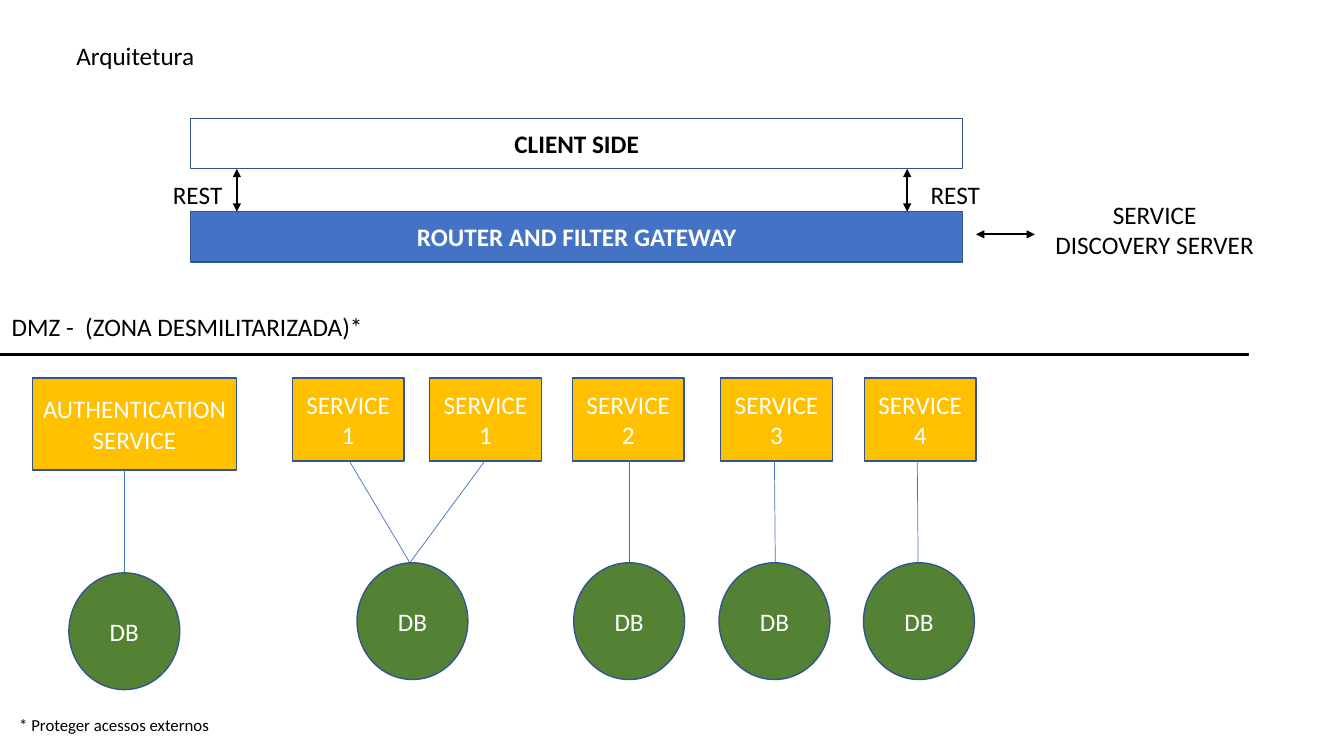
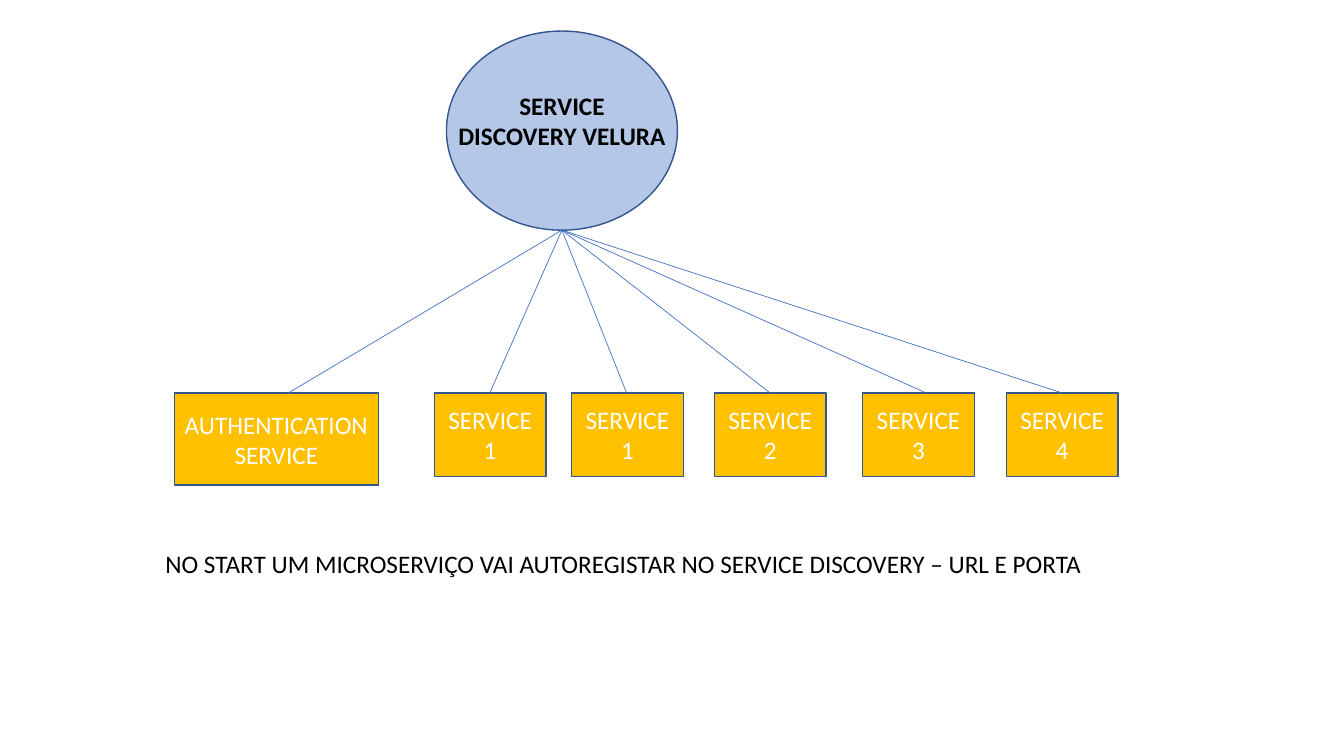
from lxml import etree
from pptx import Presentation
from pptx.dml.color import RGBColor
from pptx.enum.shapes import MSO_CONNECTOR as CONN, MSO_SHAPE as SHAPE
from pptx.enum.text import MSO_ANCHOR as ANCHOR, MSO_AUTO_SIZE as FIT, PP_ALIGN as ALIGN
from pptx.oxml.ns import qn
from pptx.util import Inches, Pt

WIDTH, HEIGHT = Inches(13.33), Inches(7.5)
COLS, ROWS = 160, 90
FONT = "Calibri"
BLACK, WHITE = "000000", "FFFFFF"
BLUE, PALE_BLUE, OUTLINE = "4472C4", "B4C7E7", "325491"
AMBER, GREEN = "FFC000", "548235"

AUTH_W, AUTH_H = 24.3, 10.95
SERVICE_W, SERVICE_H = 13.3, 9.9
DB_W, DB_H = 13.2, 13.9
SERVICES = [(30.95, 1), (47.3, 1), (64.3, 2), (81.95, 3), (99.05, 4)]


def rgb(value):
    return RGBColor.from_string(value)


def col(n):
    return round(WIDTH * n / COLS)


def row(n):
    return round(HEIGHT * n / ROWS)


def place(x, y, w, h):
    return col(x), row(y), col(w), row(h)


def write(tf, text, size=18, color=BLACK, bold=False, align=ALIGN.LEFT):
    for i, line in enumerate(text.split("\n")):
        p = tf.paragraphs[0] if i == 0 else tf.add_paragraph()
        p.alignment = align
        r = p.add_run()
        r.text = line
        r.font.name = FONT
        r.font.size = Pt(size)
        r.font.bold = bold
        r.font.color.rgb = rgb(color)


def label(s, x, y, w, h, text, wrap=False, **fmt):
    tf = s.shapes.add_textbox(*place(x, y, w, h)).text_frame
    tf.word_wrap = wrap
    tf.auto_size = FIT.SHAPE_TO_FIT_TEXT
    write(tf, text, **fmt)


def block(s, x, y, w, h, fill, text="", kind=SHAPE.RECTANGLE, color=WHITE, bold=False):
    sp = s.shapes.add_shape(kind, *place(x, y, w, h))
    sp.shadow.inherit = False
    sp.fill.solid()
    sp.fill.fore_color.rgb = rgb(fill)
    sp.line.color.rgb = rgb(OUTLINE)
    sp.line.width = Pt(1)
    if text:
        tf = sp.text_frame
        tf.word_wrap = True
        tf.vertical_anchor = ANCHOR.MIDDLE
        write(tf, text, color=color, bold=bold, align=ALIGN.CENTER)


def link(s, x1, y1, x2, y2, color=BLUE, width=0.5, arrows=False):
    line = s.shapes.add_connector(CONN.STRAIGHT, col(x1), row(y1), col(x2), row(y2))
    line.line.color.rgb = rgb(color)
    line.line.width = Pt(width)
    props = line.element.spPr
    if arrows:
        for end in ("a:headEnd", "a:tailEnd"):
            etree.SubElement(props.find(qn("a:ln")), qn(end), type="triangle")
    etree.SubElement(props, qn("a:effectLst"))


def arrow(s, x1, y1, x2, y2):
    link(s, x1, y1, x2, y2, BLACK, 1.5, arrows=True)


def service_row(s, x, y):
    block(s, x, y, AUTH_W, AUTH_H, AMBER, "AUTHENTICATION SERVICE")
    for offset, number in SERVICES:
        block(s, x + offset, y, SERVICE_W, SERVICE_H, AMBER, f"SERVICE {number}")


def database(s, x, y):
    block(s, x, y, DB_W, DB_H, GREEN, "DB", SHAPE.OVAL)


def architecture(s):
    label(s, 7.9, 4.2, 16.6, 4.8, "Arquitetura")
    block(s, 22.7, 14.1, 91.9, 6, WHITE, "CLIENT SIDE", color=BLACK, bold=True)
    block(s, 22.7, 25.2, 91.9, 6, BLUE, "ROUTER AND FILTER GATEWAY", bold=True)
    for arrow_x, text_x in ((28.2, 19.4), (108, 109.6)):
        arrow(s, arrow_x, 20.1, arrow_x, 25.2)
        label(s, text_x, 20.8, 8.4, 4.8, "REST")
    arrow(s, 116.2, 27.9, 123.2, 27.9)
    label(s, 124.3, 23.1, 26.3, 8.5, "SERVICE\nDISCOVERY SERVER", align=ALIGN.CENTER)

    label(s, 0.2, 36.5, 44.6, 4.8, "DMZ -  (ZONA DESMILITARIZADA)*")
    link(s, 0, 42.2, 148.7, 42.2, BLACK, 2.25)

    top, db_top = 45, 67
    service_row(s, 3.85, top)
    for x1, x2 in ((41.6, 48.8), (57.7, 48.8), (74.9, 74.9), (92.2, 92.3), (109.2, 109.3)):
        link(s, x1, top + SERVICE_H, x2, db_top)
    for x in (42.5, 68.3, 85.6, 102.8):
        database(s, x, db_top)
    link(s, 14.8, top + AUTH_H, 14.8, 68.2)
    database(s, 8.2, 68.2)
    label(s, 1.1, 84.5, 156.5, 3.6, "* Proteger acessos externos", wrap=True, size=12)


def discovery(s):
    block(s, 53.15, 3.7, 27.5, 23.7, PALE_BLUE, kind=SHAPE.OVAL)
    label(s, 53.15, 10.15, 27.5, 8.5, "SERVICE\nDISCOVERY VELURA", bold=True, align=ALIGN.CENTER)
    top = 46.8
    service_row(s, 20.75, top)
    for x in (34.3, 58.3, 74.6, 91.7, 110.3, 126.5):
        link(s, 66.9, 27.4, x, top)
    label(s, 18.5, 64.7, 111.7, 4.8,
          "NO START UM MICROSERVIÇO VAI AUTOREGISTAR NO SERVICE DISCOVERY – URL E PORTA")


def main():
    prs = Presentation()
    prs.slide_width, prs.slide_height = WIDTH, HEIGHT
    for build in (architecture, discovery):
        build(prs.slides.add_slide(prs.slide_layouts[6]))
    prs.save("out.pptx")


main()
